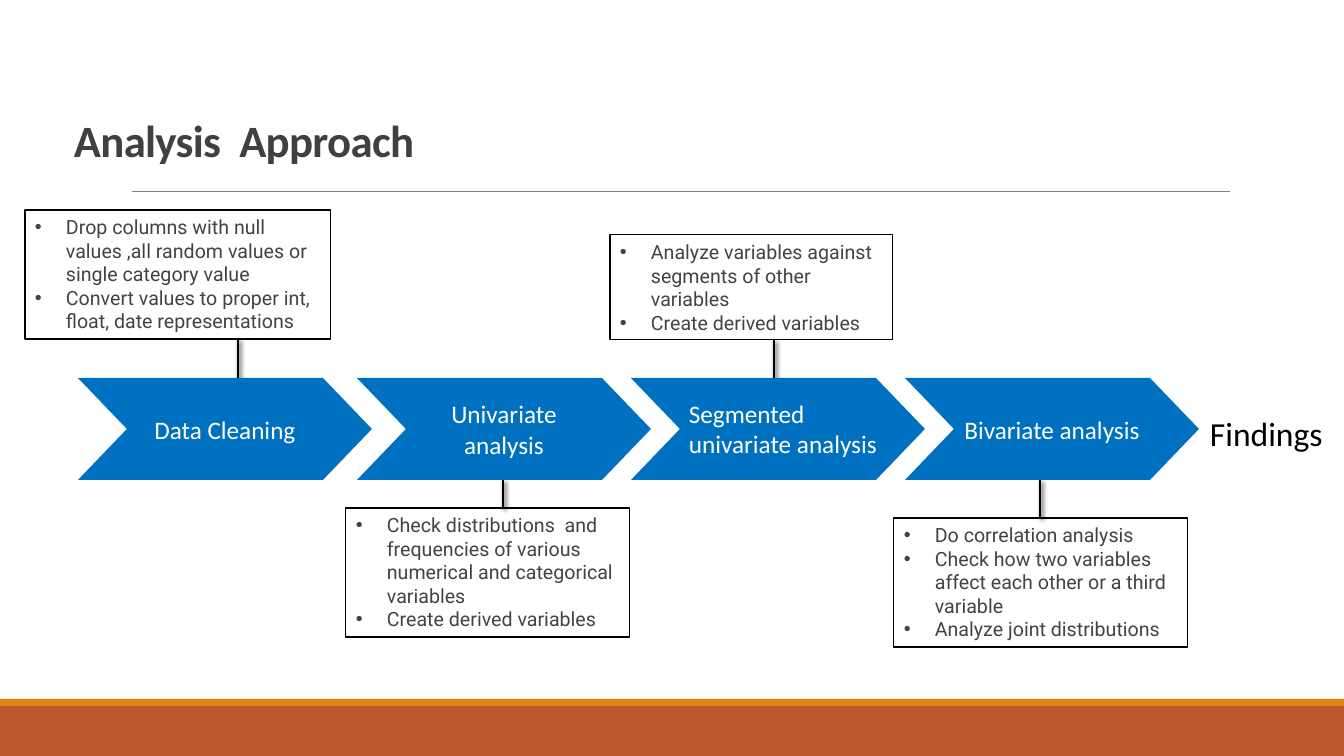
from dataclasses import dataclass
from typing import Optional

from lxml.etree import SubElement
from pptx import Presentation
from pptx.dml.color import RGBColor
from pptx.enum.shapes import MSO_CONNECTOR as Link, MSO_SHAPE as Preset
from pptx.enum.text import MSO_ANCHOR as Anchor, PP_ALIGN as Align
from pptx.oxml.ns import qn
from pptx.util import Emu, Pt

COLORS = {
    "footer": "BD582C", "footer_edge": "E48312", "rule": "808080",
    "title": "404040", "stage": "0070C0", "label": "FFFFFF",
    "note": "434343", "black": "000000",
}
EMU_PER_PX = 914400 / 100.8
SLIDE_W, SLIDE_H = 1344, 756
STAGE_TOP, STAGE_W, STAGE_H = 378, 294, 102
STAGE_BOTTOM = STAGE_TOP + STAGE_H
BULLET_INDENT = 31


@dataclass(frozen=True)
class Box:
    left: int
    top: int
    width: int
    height: int

    @property
    def bottom(self) -> int:
        return self.top + self.height


@dataclass(frozen=True)
class Stage:
    label: str
    left: int
    stem_x: int
    note: Box
    points: tuple[str, ...]
    label_box: Optional[Box] = None


STAGES = (
    Stage("Data Cleaning", 78, 238, Box(25, 210, 306, 129), (
        "Drop columns with null values ,all random values or single category value",
        "Convert values to proper int, float, date representations")),
    Stage("Univariate analysis", 357, 503, Box(346, 508, 284, 129), (
        "Check distributions  and frequencies of various numerical and categorical variables",
        "Create derived variables")),
    Stage("Segmented univariate analysis", 631, 774, Box(610, 235, 283, 105), (
        "Analyze variables against segments of other variables",
        "Create derived variables"), Box(679, 393, 237, 72)),
    Stage("Bivariate analysis", 905, 1040, Box(894, 518, 294, 129), (
        "Do correlation analysis",
        "Check how two variables affect each other or a third variable",
        "Analyze joint distributions")),
)


def px(length: float) -> Emu:
    return Emu(round(length * EMU_PER_PX))


def color(name: str) -> RGBColor:
    return RGBColor.from_string(COLORS[name])


def place(box: Box) -> tuple[Emu, ...]:
    return px(box.left), px(box.top), px(box.width), px(box.height)


def write(holder, *lines: str, size: float, ink: str, font: str = "Calibri",
          bold: bool = False, align=Align.LEFT, anchor=Anchor.TOP,
          wrap: bool = True, bullets: bool = False,
          line_spacing: Optional[float] = None, tracking: int = 0) -> None:
    frame = holder.text_frame
    frame.word_wrap = wrap
    frame.vertical_anchor = anchor
    for index, line in enumerate(lines):
        paragraph = frame.paragraphs[0] if index == 0 else frame.add_paragraph()
        paragraph.alignment = align
        paragraph.line_spacing = line_spacing
        run = paragraph.add_run()
        run.text = line
        run.font.name, run.font.size, run.font.bold = font, Pt(size), bold
        run.font.color.rgb = color(ink)
        if tracking:
            run.font._element.set("spc", str(tracking))
        if bullets:
            properties = paragraph._p.get_or_add_pPr()
            properties.set("marL", str(px(BULLET_INDENT)))
            properties.set("indent", str(-px(BULLET_INDENT)))
            SubElement(properties, qn("a:buFont"), typeface="Arial")
            SubElement(properties, qn("a:buChar"), char="•")


def add_panel(slide, preset, box: Box, fill: Optional[str] = None,
              outline: Optional[str] = None):
    panel = slide.shapes.add_shape(preset, *place(box))
    panel.shadow.inherit = False
    if fill:
        panel.fill.solid()
        panel.fill.fore_color.rgb = color(fill)
    else:
        panel.fill.background()
    if outline:
        panel.line.color.rgb = color(outline)
        panel.line.width = Pt(0.75)
    else:
        panel.line.fill.background()
    return panel


def add_line(slide, start: tuple[int, int], end: tuple[int, int], ink: str,
             weight: float, shadow: bool = False) -> None:
    line = slide.shapes.add_connector(
        Link.STRAIGHT, *(px(value) for value in start + end))
    line.line.color.rgb = color(ink)
    line.line.width = Pt(weight)
    effects = SubElement(line._element.spPr, qn("a:effectLst"))
    if shadow:
        cast = SubElement(effects, qn("a:outerShdw"), blurRad=str(Pt(3)),
                          dist=str(Pt(2)), dir="2700000", rotWithShape="0")
        tint = SubElement(cast, qn("a:srgbClr"), val=COLORS["black"])
        SubElement(tint, qn("a:alpha"), val="60000")


def add_text(slide, box: Box, text: str, **style) -> None:
    write(slide.shapes.add_textbox(*place(box)), text, **style)


def add_stem(slide, stage: Stage) -> None:
    if stage.note.top < STAGE_TOP:
        top, bottom = stage.note.bottom, STAGE_TOP
    else:
        top, bottom = STAGE_BOTTOM, stage.note.top
    add_line(slide, (stage.stem_x, top), (stage.stem_x, bottom), "black", 2, shadow=True)


def add_stage(slide, stage: Stage) -> None:
    chevron = add_panel(slide, Preset.CHEVRON,
                        Box(stage.left, STAGE_TOP, STAGE_W, STAGE_H), fill="stage")
    chevron.adjustments[0] = 0.48
    if stage.label_box:
        add_text(slide, stage.label_box, stage.label, size=18, ink="label")
    else:
        write(chevron, stage.label, size=18, ink="label",
              align=Align.CENTER, anchor=Anchor.MIDDLE)


def add_note(slide, stage: Stage) -> None:
    note = add_panel(slide, Preset.RECTANGLE, stage.note, outline="black")
    write(note, *stage.points, size=14, ink="note", font="Roboto", bullets=True)


deck = Presentation()
deck.slide_width, deck.slide_height = px(SLIDE_W), px(SLIDE_H)
approach = deck.slides.add_slide(deck.slide_layouts[6])

add_panel(approach, Preset.RECTANGLE, Box(0, 706, SLIDE_W, 50), fill="footer")
add_panel(approach, Preset.RECTANGLE, Box(0, 699, SLIDE_W, 7), fill="footer_edge")
add_line(approach, (132, 191), (1230, 191), "rule", 0.5)
add_text(approach, Box(64, 60, 1216, 112), "Analysis  Approach", size=32, ink="title",
         bold=True, anchor=Anchor.BOTTOM, line_spacing=0.85, tracking=-50)

for draw in (add_stem, add_stage, add_note):
    for stage in STAGES:
        draw(approach, stage)

add_text(approach, Box(1200, 408, 134, 50), "Findings", size=24, ink="black", wrap=False)

deck.save("out.pptx")
